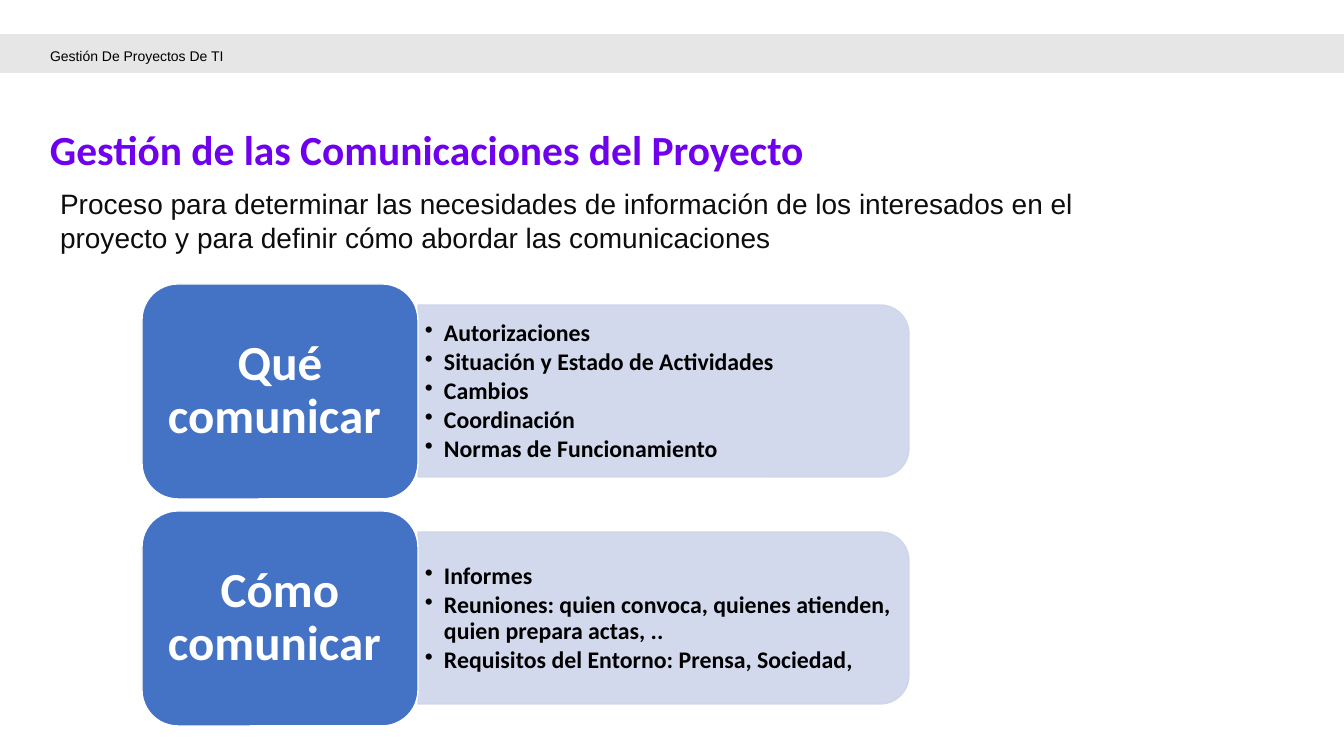
from lxml import etree
from pptx import Presentation
from pptx import util as u
from pptx.dml.color import RGBColor
from pptx.enum import shapes, text
from pptx.oxml.ns import qn

PX = 9071.43  # EMU in one px
BLACK, WHITE, BLUE, PALE = "000000", "FFFFFF", "4472C4", "CFD5EA"


def px(length):
    return u.Emu(round(length * PX))


def rgb(value):
    return RGBColor.from_string(value)


def set_opacity(fill, percent):
    """Make a solid fill, of a shape or of its line, partly transparent."""
    solid = fill._xPr.find(qn("a:solidFill"))
    etree.SubElement(solid[0], qn("a:alpha"), val=str(percent * 1000))


class SlideBuilder:
    def __init__(self, slide):
        self.slide = slide

    def shape(self, kind, box, fill, line=None, opacity=None):
        item = self.slide.shapes.add_shape(kind, *map(px, box))
        item.shadow.inherit = False
        item.fill.solid()
        item.fill.fore_color.rgb = rgb(fill)
        if line is None:
            item.line.fill.background()
        else:
            item.line.color.rgb = rgb(line)
            item.line.width = u.Pt(1)
        if opacity is not None:
            set_opacity(item.fill, opacity)
            set_opacity(item.line.fill, opacity)
        return item

    def set_text(self, item, paragraphs, size, color, font="Calibri",
                 bold=False, insets=(0, 0), anchor=text.MSO_ANCHOR.TOP,
                 spacing=None, after=None, align=text.PP_ALIGN.LEFT,
                 bullets=False):
        """Fill a shape's text frame; insets are horizontal, vertical."""
        frame = item.text_frame
        frame.word_wrap = True
        frame.vertical_anchor = anchor
        frame.margin_left = frame.margin_right = px(insets[0])
        frame.margin_top = frame.margin_bottom = px(insets[1])
        for index, words in enumerate(paragraphs):
            paragraph = frame.add_paragraph() if index else frame.paragraphs[0]
            paragraph.text = words
            paragraph.alignment = align
            if spacing:
                paragraph.line_spacing = spacing
            if after:
                paragraph.space_after = u.Pt(after)
            if bullets:
                props = paragraph._p.get_or_add_pPr()
                props.set("marL", str(px(19)))
                props.set("indent", str(px(-19)))
                etree.SubElement(props, qn("a:buChar"), char="•")
            paragraph.font.size = u.Pt(size)
            paragraph.font.name = font
            paragraph.font.bold = bold
            paragraph.font.color.rgb = rgb(color)

    def text(self, box, paragraphs, size, color, **style):
        item = self.slide.shapes.add_textbox(*map(px, box))
        self.set_text(item, paragraphs, size, color, **style)

    def topic(self, top, heading, points):
        """Draw a blue card with a pale panel of bullets to its right."""
        left, width, height = 418, 491, 172
        # The panel is drawn upright, then turned about its centre.
        upright = (left + (width - height) / 2,
                   top + 107 - width / 2, height, width)
        panel = self.shape(shapes.MSO_SHAPE.ROUND_2_SAME_RECTANGLE, upright,
                           PALE, PALE, opacity=90)
        panel.rotation = 90
        self.text((left, top + 30, 483, 156), points, 17, BLACK, bold=True,
                  insets=(7, 4), anchor=text.MSO_ANCHOR.MIDDLE, spacing=0.9,
                  after=2.4, bullets=True)
        card = self.shape(shapes.MSO_SHAPE.ROUNDED_RECTANGLE,
                          (142, top, 276, 215), BLUE, WHITE)
        self.set_text(card, [heading], 35, WHITE, bold=True, insets=(15, 7),
                      anchor=text.MSO_ANCHOR.MIDDLE, spacing=0.9, after=12,
                      align=text.PP_ALIGN.CENTER)


def main():
    deck = Presentation()
    deck.slide_width, deck.slide_height = px(1344), px(756)
    page = SlideBuilder(deck.slides.add_slide(deck.slide_layouts[6]))

    page.shape(shapes.MSO_SHAPE.RECTANGLE, (0, 34, 1344, 39), "E7E6E6")
    page.text((50, 131, 886, 52), ["Gestión de las Comunicaciones del Proyecto"],
              29.6, "6E00ED", bold=True, anchor=text.MSO_ANCHOR.MIDDLE,
              spacing=0.6)
    page.text((50, 39, 413, 32), ["Gestión De Proyectos De TI"], 10, BLACK,
              font="Arial", spacing=1.5)
    page.text((50, 182, 1099, 285),
              ["Proceso para determinar las necesidades de información de los "
               "interesados en el proyecto y para definir cómo abordar las "
               "comunicaciones"],
              20, "0D0D0D", font="Arial", insets=(10, 5))

    topics = [
        ("Qué comunicar ",
         ["Autorizaciones", "Situación y Estado de Actividades", "Cambios",
          "Coordinación", "Normas de Funcionamiento"]),
        ("Cómo comunicar ",
         ["Informes",
          "Reuniones: quien convoca, quienes atienden, quien prepara actas, ..",
          "Requisitos del Entorno: Prensa, Sociedad,"]),
    ]
    for row, (heading, points) in enumerate(topics):
        page.topic(284 + 227 * row, heading, points)

    deck.save("out.pptx")


if __name__ == "__main__":
    main()
